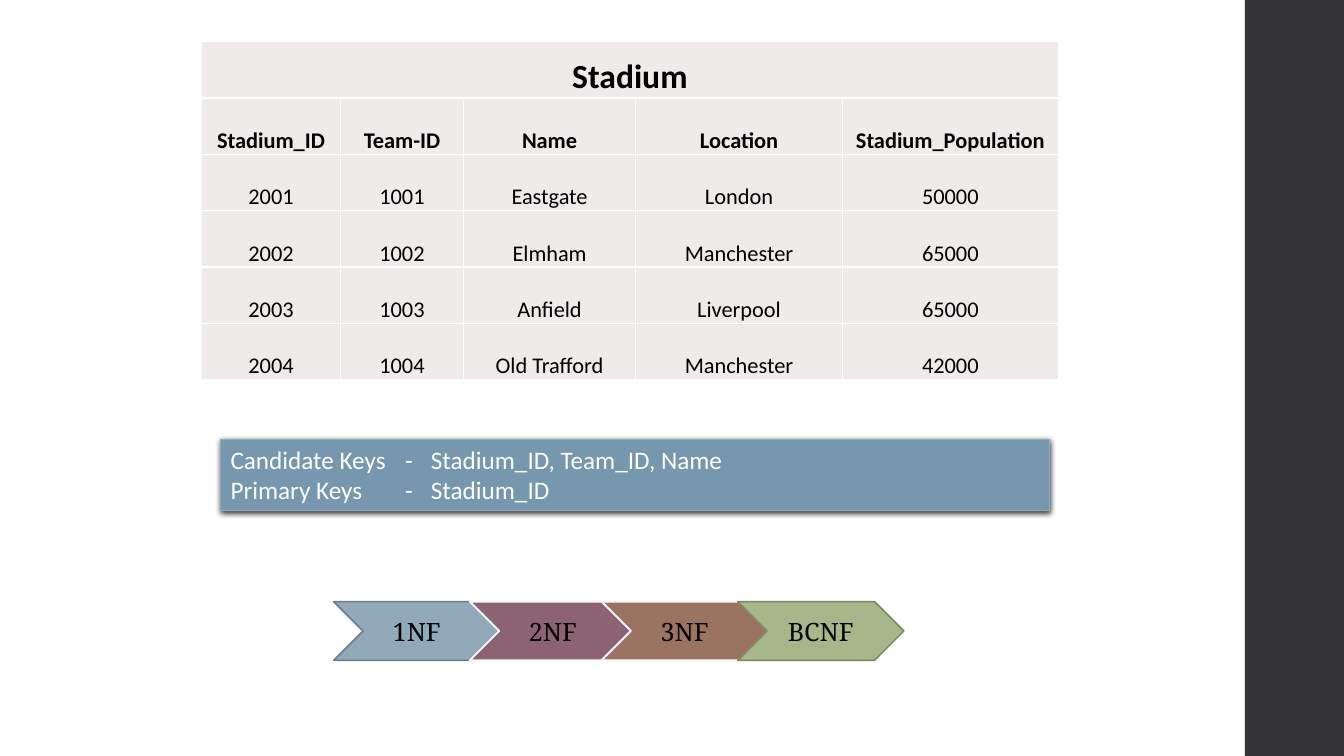
"""Build the Stadium table slide with its keys and normal forms."""
import lxml.etree
import pptx
import pptx.dml.color
import pptx.enum.shapes
import pptx.enum.text
import pptx.oxml
import pptx.oxml.ns
import pptx.util

Cm, Pt = pptx.util.Cm, pptx.util.Pt
SHAPE = pptx.enum.shapes.MSO_SHAPE
ANCHOR = pptx.enum.text.MSO_ANCHOR
CENTER = pptx.enum.text.PP_ALIGN.CENTER
qn = pptx.oxml.ns.qn

TITLE = "Stadium"
ROWS = [
    ("Stadium_ID", "Team-ID", "Name", "Location", "Stadium_Population"),
    ("2001", "1001", "Eastgate", "London", "50000"),
    ("2002", "1002", "Elmham", "Manchester", "65000"),
    ("2003", "1003", "Anfield", "Liverpool", "65000"),
    ("2004", "1004", "Old Trafford", "Manchester", "42000"),
]
COLUMN_WIDTHS = [3.5, 3.1, 4.34, 5.21, 5.44]
ROW_HEIGHT = 1.42
KEYS = [
    ("Candidate Keys", "-", "Stadium_ID, Team_ID, Name"),
    ("Primary Keys", "-", "Stadium_ID"),
]
KEY_STOPS = [4.4, 5.05]
FORMS = [
    ("1NF", 8.41, "92A9B9", "6C7D89", 1.1),
    ("2NF", 11.84, "8D6374", "F9F9F9", 1.35),
    ("3NF", 15.16, "9B7362", "F9F9F9", 1.35),
    ("BCNF", 18.59, "A7B789", "7C8765", 1.1),
]


def paint(target, color):
    """Give a fill, or a line's fill, a solid colour."""
    target.solid()
    target.fore_color.rgb = pptx.dml.color.RGBColor.from_string(color)


def style(paragraph, font, size, color, bold=False):
    """Set the font of a whole paragraph."""
    paragraph.font.name = font
    paragraph.font.size = Pt(size)
    paragraph.font.bold = bold
    paint(paragraph.font.fill, color)


def add_box(kind, left, top, width, height, fill, line=None, weight=0):
    """Add a flat preset shape, measured in centimetres."""
    box = page.shapes.add_shape(kind, Cm(left), Cm(top), Cm(width), Cm(height))
    paint(box.fill, fill)
    if line:
        paint(box.line.fill, line)
        box.line.width = Pt(weight)
    else:
        box.line.fill.background()
    box.shadow.inherit = False
    return box


def fill_cell(cell, text, size, bold):
    """Write one table cell with its fill and white borders."""
    cell.text = text
    cell.vertical_anchor = ANCHOR.BOTTOM
    cell.margin_left = cell.margin_right = cell.margin_top = Cm(0.03)
    cell.margin_bottom = 0
    paragraph = cell.text_frame.paragraphs[0]
    paragraph.alignment = CENTER
    style(paragraph, "Calibri", size, "000000", bold)
    properties = cell._tc.get_or_add_tcPr()
    for side in ("lnL", "lnR", "lnT", "lnB"):
        border = lxml.etree.SubElement(properties, qn(f"a:{side}"), w=str(Pt(1)))
        solid = lxml.etree.SubElement(border, qn("a:solidFill"))
        lxml.etree.SubElement(solid, qn("a:srgbClr"), val="FFFFFF")
    paint(cell.fill, "EFEBEA")


def add_shadow(box):
    """Cast a soft black shadow straight down."""
    effects = box._element.spPr.find(qn("a:effectLst"))
    shadow = lxml.etree.SubElement(
        effects, qn("a:outerShdw"), blurRad=str(Pt(4)), dist=str(Pt(1.2)), dir="5400000")
    color = lxml.etree.SubElement(shadow, qn("a:srgbClr"), val="000000")
    lxml.etree.SubElement(color, qn("a:alpha"), val="75000")


def add_stops(paragraph, stops):
    """Set left tab stops, in centimetres."""
    properties = paragraph._p.get_or_add_pPr()
    tabs = pptx.oxml.parse_xml(f'<a:tabLst {pptx.oxml.ns.nsdecls("a")}/>')
    for stop in stops:
        lxml.etree.SubElement(tabs, qn("a:tab"), pos=str(Cm(stop)), algn="l")
    properties.insert_element_before(tabs, "a:defRPr", "a:extLst")


deck = pptx.Presentation()
deck.slide_width, deck.slide_height = Cm(33.87), Cm(19.05)
page = deck.slides.add_slide(deck.slide_layouts[6])
paint(page.background.fill, "FFFFFF")

add_box(SHAPE.RECTANGLE, 31.37, 0, 2.5, 19.05, "353537")

for name, left, fill, line, weight in FORMS:
    chevron = add_box(SHAPE.CHEVRON, left, 15.16, 4.19, 1.48, fill, line, weight)
    chevron.text_frame.text = name
    chevron.text_frame.vertical_anchor = ANCHOR.MIDDLE
    label = chevron.text_frame.paragraphs[0]
    label.alignment = CENTER
    style(label, "Noto Serif", 18, "000000")

row_count = len(ROWS) + 1
table = page.shapes.add_table(
    row_count, len(COLUMN_WIDTHS), Cm(5.08), Cm(1.05),
    Cm(sum(COLUMN_WIDTHS)), Cm(ROW_HEIGHT * row_count)).table
table.first_row = table.horz_banding = False
for column, width in zip(table.columns, COLUMN_WIDTHS):
    column.width = Cm(width)
for row in table.rows:
    row.height = Cm(ROW_HEIGHT)
table.cell(0, 0).merge(table.cell(0, len(COLUMN_WIDTHS) - 1))
fill_cell(table.cell(0, 0), TITLE, 24, True)
for row_index, values in enumerate(ROWS, 1):
    for column_index, value in enumerate(values):
        fill_cell(table.cell(row_index, column_index), value, 16, row_index == 1)

keys_box = add_box(SHAPE.RECTANGLE, 5.56, 11.07, 20.88, 1.8, "7797AE", "92A9B9", 0.75)
add_shadow(keys_box)
frame = keys_box.text_frame
frame.word_wrap = True
frame.vertical_anchor = ANCHOR.TOP
frame.text = "\n".join("\t".join(parts) for parts in KEYS)
for paragraph in frame.paragraphs:
    paragraph.alignment = pptx.enum.text.PP_ALIGN.LEFT
    style(paragraph, "Calibri", 18, "FFFFFF")
    add_stops(paragraph, KEY_STOPS)

deck.save("out.pptx")
